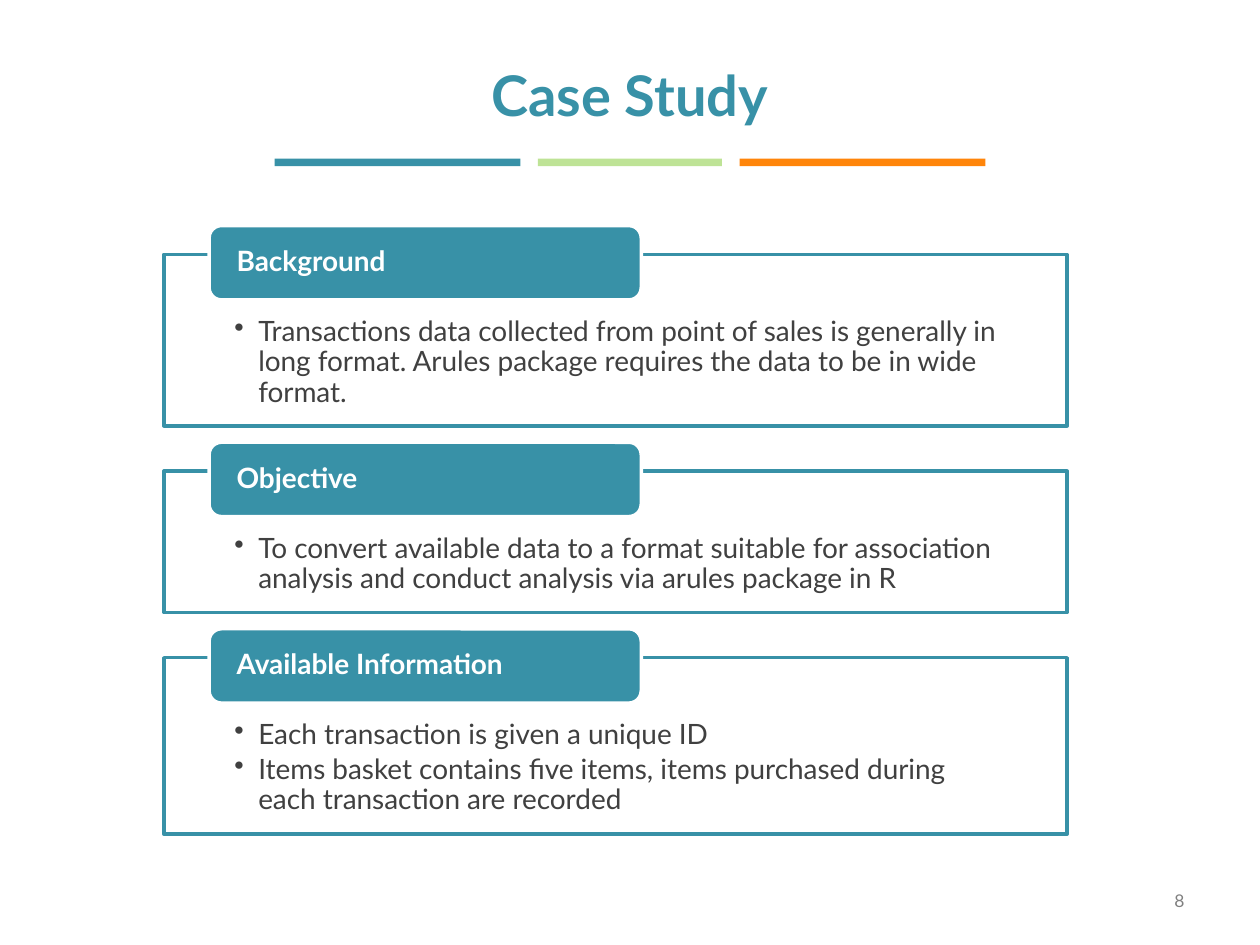
from dataclasses import dataclass

from lxml.etree import SubElement
from pptx import Presentation
from pptx.dml.color import RGBColor as Rgb
from pptx.enum.shapes import MSO_SHAPE as Preset
from pptx.enum.text import MSO_ANCHOR as Anchor, PP_ALIGN as Align
from pptx.oxml.ns import qn
from pptx.util import Inches, Pt


@dataclass(frozen=True)
class Theme:
    """Colours, font and type sizes of the slide."""
    teal: Rgb = Rgb.from_string("3891A7")
    green: Rgb = Rgb.from_string("BEE396")
    orange: Rgb = Rgb.from_string("FF850A")
    white: Rgb = Rgb.from_string("FFFFFF")
    body: Rgb = Rgb.from_string("404040")
    grey: Rgb = Rgb.from_string("808080")
    font: str = "Lato"
    title_size: Pt = Pt(32)
    text_size: Pt = Pt(16)
    number_size: Pt = Pt(10)


THEME = Theme()
SECTIONS = [
    ("Background", 1.36, [
        "Transactions data collected from point of sales is generally in long format. "
        "Arules package requires the data to be in wide format."]),
    ("Objective", 1.12, [
        "To convert available data to a format suitable for association analysis "
        "and conduct analysis via arules package in R"]),
    ("Available Information", 1.4, [
        "Each transaction is given a unique ID",
        "Items basket contains five items, items purchased during each transaction are recorded"]),
]


def apply(target, formats):
    """Set each attribute named in formats on the target."""
    for name, value in formats.items():
        setattr(target, name, value)


def write(holder, lines, size, color, bold=False, frame=None, paragraph=None):
    """Write the lines as styled paragraphs and return the paragraphs."""
    text = holder.text_frame
    apply(text, {"word_wrap": True, **(frame or {})})
    text.text = "\n".join(lines)
    for line in text.paragraphs:
        apply(line, {"alignment": Align.LEFT, **(paragraph or {})})
        apply(line.font, {"name": THEME.font, "size": size, "bold": bold})
        line.font.color.rgb = color
    return text.paragraphs


def add_block(slide, preset, box, fill, line=None):
    """Add a flat filled shape, outlined when a line colour is given."""
    block = slide.shapes.add_shape(preset, *map(Inches, box))
    block.shadow.inherit = False
    block.fill.solid()
    block.fill.fore_color.rgb = fill
    if line is None:
        block.line.fill.background()
    else:
        block.line.color.rgb = line
        block.line.width = Pt(2)
    return block


def add_caption(slide, box, text, size, color, align, bold=False):
    """Add a vertically centred line of free text."""
    caption = slide.shapes.add_textbox(*map(Inches, box))
    write(caption, [text], size, color, bold,
          {"vertical_anchor": Anchor.MIDDLE}, {"alignment": align})


def add_divider(slide, left=2.18, gap=0.14):
    """Add the row of coloured bars under the title."""
    for width, color in ((1.95, THEME.teal), (1.46, THEME.green), (1.95, THEME.orange)):
        add_block(slide, Preset.RECTANGLE, (left, 1.26, width, 0.06), color)
        left += width + gap


def add_bullet(paragraph):
    """Give the paragraph a round bullet with a hanging indent."""
    properties = paragraph._p.get_or_add_pPr()
    properties.set("marL", str(Inches(0.19)))
    properties.set("indent", str(-Inches(0.19)))
    SubElement(properties, qn("a:buChar"), char="•")


def add_section(slide, top, heading, height, points):
    """Add a framed list with its heading tab over the top edge."""
    panel = add_block(slide, Preset.RECTANGLE, (1.3, top, 7.17, height), THEME.white, THEME.teal)
    panel_color = panel.fill._xPr.find(qn("a:solidFill"))[0]
    SubElement(panel_color, qn("a:alpha"), val="90000")
    bullets = write(panel, points, THEME.text_size, THEME.body, frame={
        "vertical_anchor": Anchor.TOP, "margin_left": Inches(0.56), "margin_right": Inches(0.56),
        "margin_top": Inches(0.5), "margin_bottom": Inches(0.12),
    }, paragraph={"line_spacing": 0.9, "space_after": Pt(2.4)})
    for bullet in bullets:
        add_bullet(bullet)

    tab = add_block(slide, Preset.ROUNDED_RECTANGLE, (1.66, top - 0.23, 3.43, 0.59),
                    THEME.teal, THEME.white)
    write(tab, [heading], THEME.text_size, THEME.white, True, {
        "vertical_anchor": Anchor.MIDDLE, "margin_left": Inches(0.19),
        "margin_right": Inches(0.19), "margin_top": 0, "margin_bottom": 0,
    }, {"line_spacing": 0.9})


def main():
    """Build and save the case study slide."""
    deck = Presentation()
    apply(deck, {"slide_width": Inches(10), "slide_height": Inches(7.5)})
    slide = deck.slides.add_slide(deck.slide_layouts[6])
    add_caption(slide, (0.5, 0.3, 9, 0.89), "Case Study",
                THEME.title_size, THEME.teal, Align.CENTER, True)
    add_divider(slide)
    top, gap = 2.02, 0.36
    for heading, height, points in SECTIONS:
        add_section(slide, top, heading, height, points)
        top += height + gap
    add_caption(slide, (7.17, 6.95, 2.33, 0.4), "8",
                THEME.number_size, THEME.grey, Align.RIGHT)
    deck.save("out.pptx")


if __name__ == "__main__":
    main()
